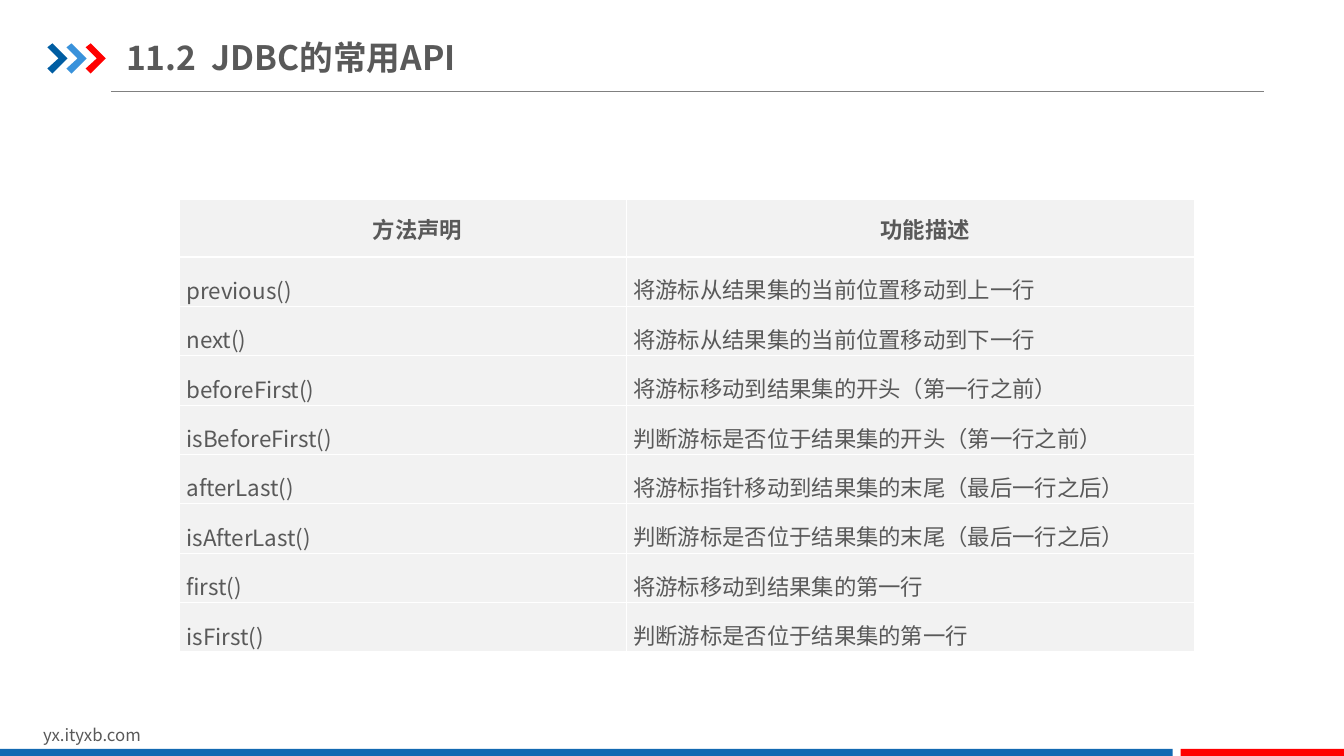
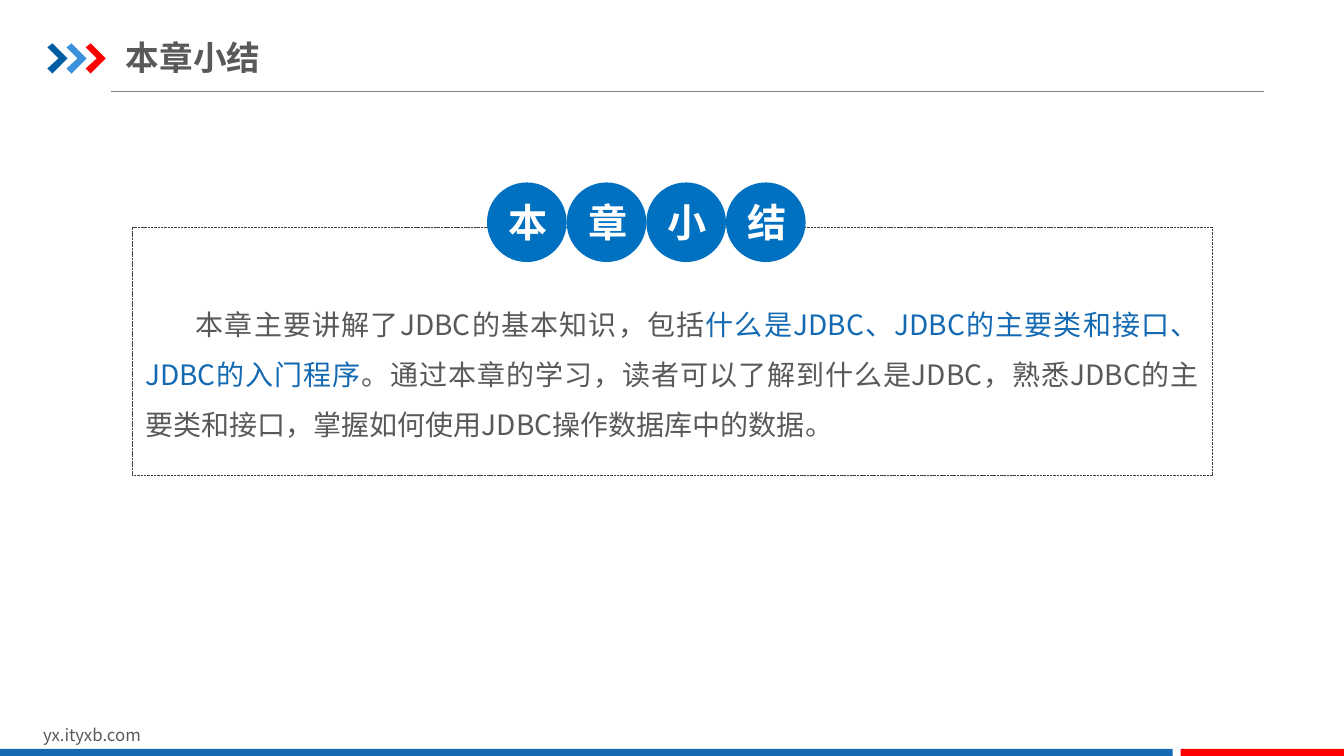
import pptx
import pptx.dml.color
import pptx.enum.dml
import pptx.enum.lang
import pptx.enum.shapes
import pptx.enum.text
import pptx.oxml
import pptx.oxml.ns
import pptx.util
from pptx.util import Inches

RGBColor = pptx.dml.color.RGBColor
SHAPE = pptx.enum.shapes.MSO_SHAPE
ALIGN = pptx.enum.text.PP_ALIGN
MIDDLE = pptx.enum.text.MSO_ANCHOR.MIDDLE
TOP = pptx.enum.text.MSO_ANCHOR.TOP

FONT = "Noto Sans CJK SC"
TEXT = RGBColor(0x59, 0x59, 0x59)
BLUE = RGBColor(0x13, 0x69, 0xB2)
DARK_BLUE = RGBColor(0x00, 0x5D, 0xA2)
LIGHT_BLUE = RGBColor(0x39, 0x92, 0xDB)
CIRCLE_BLUE = RGBColor(0x00, 0x70, 0xC0)
RED = RGBColor(0xFF, 0x00, 0x00)
WHITE = RGBColor(0xFF, 0xFF, 0xFF)
RULE_GREY = RGBColor(0x80, 0x80, 0x80)
FRAME_GREY = RGBColor(0x40, 0x40, 0x40)
CELL_GREY = RGBColor(0xF2, 0xF2, 0xF2)


def style_runs(paragraph, size, color=TEXT, bold=False):
    for run in paragraph.runs:
        run.font.size = pptx.util.Pt(size)
        run.font.bold = bold
        run.font.color.rgb = color
        run.font.name = FONT
        run.font.language_id = pptx.enum.lang.MSO_LANGUAGE_ID.SIMPLIFIED_CHINESE
        east_asian = pptx.oxml.parse_xml(
            f'<a:ea {pptx.oxml.ns.nsdecls("a")} typeface="{FONT}"/>')
        run.font._element.find(pptx.oxml.ns.qn("a:latin")).addnext(east_asian)


def paint(shape, color):
    shape.shadow.inherit = False
    shape.fill.solid()
    shape.fill.fore_color.rgb = color
    shape.line.fill.background()


deck = pptx.Presentation()
deck.slide_width = Inches(13.33)
deck.slide_height = Inches(7.5)

slides = []
for heading, heading_width in [("11.2  JDBC的常用API", 5.11), ("本章小结", 6.2)]:
    slide = deck.slides.add_slide(deck.slide_layouts[6])
    slides.append(slide)

    rule = slide.shapes.add_connector(
        pptx.enum.shapes.MSO_CONNECTOR.STRAIGHT,
        Inches(1.1), Inches(0.91), Inches(12.54), Inches(0.91))
    rule.line.color.rgb = RULE_GREY
    rule.line.width = pptx.util.Pt(0.75)
    rule._element.spPr.append(
        pptx.oxml.parse_xml(f'<a:effectLst {pptx.oxml.ns.nsdecls("a")}/>'))

    for index, color in enumerate([DARK_BLUE, LIGHT_BLUE, RED]):
        left = 0.47 + 0.19 * index
        outline = [(0, 0.47), (0.05, 0.43), (0.2, 0.58), (0.05, 0.73), (0, 0.68), (0.11, 0.58)]
        points = [(Inches(left + x), Inches(y)) for x, y in outline]
        builder = slide.shapes.build_freeform(*points[0])
        builder.add_line_segments(points[1:], close=True)
        paint(builder.convert_to_shape(), color)

    site = slide.shapes.add_textbox(Inches(0.33), Inches(7.14), Inches(3.18), Inches(0.3))
    site.text_frame.word_wrap = True
    site.text_frame.text = "yx.ityxb.com"
    style_runs(site.text_frame.paragraphs[0], 12)

    for left, width, color in [(0, 11.63, BLUE), (11.71, 1.62, RED)]:
        band = slide.shapes.add_shape(
            SHAPE.RECTANGLE, Inches(left), Inches(7.43), Inches(width), Inches(0.09))
        paint(band, color)

    title = slide.shapes.add_textbox(
        Inches(1.25), Inches(0.29), Inches(heading_width), Inches(0.55))
    title_frame = title.text_frame
    title_frame.word_wrap = True
    title_frame.vertical_anchor = MIDDLE
    title_frame.margin_left = title_frame.margin_right = 0
    title_frame.margin_top = title_frame.margin_bottom = Inches(0.07)
    title_frame.text = heading
    style_runs(title_frame.paragraphs[0], 24, bold=True)

api_slide, summary_slide = slides

methods = [
    ("方法声明", "功能描述"),
    ("previous()", "将游标从结果集的当前位置移动到上一行"),
    ("next()", "将游标从结果集的当前位置移动到下一行"),
    ("beforeFirst()", "将游标移动到结果集的开头（第一行之前）"),
    ("isBeforeFirst()", "判断游标是否位于结果集的开头（第一行之前）"),
    ("afterLast()", "将游标指针移动到结果集的末尾（最后一行之后）"),
    ("isAfterLast()", "判断游标是否位于结果集的末尾（最后一行之后）"),
    ("first()", "将游标移动到结果集的第一行"),
    ("isFirst()", "判断游标是否位于结果集的第一行"),
]
method_table = api_slide.shapes.add_table(
    len(methods), 2, Inches(1.78), Inches(1.98), Inches(10.07), Inches(4.49)).table
method_table.columns[0].width = Inches(4.43)
method_table.columns[1].width = Inches(5.64)
for row, entries in enumerate(methods):
    is_header = row == 0
    method_table.rows[row].height = Inches(0.57 if is_header else 0.49)
    for column, entry in enumerate(entries):
        cell = method_table.cell(row, column)
        cell.margin_left = cell.margin_right = Inches(0.07)
        cell.margin_top = cell.margin_bottom = 0
        cell.vertical_anchor = MIDDLE if is_header or column == 0 else TOP
        for side in ("lnL", "lnR", "lnT", "lnB"):
            cell._tc.get_or_add_tcPr().append(pptx.oxml.parse_xml(
                f'<a:{side} {pptx.oxml.ns.nsdecls("a")} w="12700">'
                f'<a:solidFill><a:srgbClr val="{WHITE}"/></a:solidFill></a:{side}>'))
        cell.fill.solid()
        cell.fill.fore_color.rgb = CELL_GREY
        cell.text_frame.text = entry
        paragraph = cell.text_frame.paragraphs[0]
        if is_header:
            paragraph.alignment = ALIGN.CENTER
            paragraph._p.get_or_add_pPr().set("indent", str(Inches(0.29)))
        else:
            paragraph.line_spacing = 1.5
        style_runs(paragraph, 16, bold=is_header)

summary = summary_slide.shapes.add_textbox(
    Inches(1.31), Inches(2.81), Inches(10.71), Inches(1.65))
summary_frame = summary.text_frame
summary_frame.word_wrap = True
summary_frame.margin_left = summary_frame.margin_right = Inches(0.13)
summary_frame.margin_top = summary_frame.margin_bottom = Inches(0.07)
paragraph = summary_frame.paragraphs[0]
paragraph.alignment = ALIGN.JUSTIFY
paragraph.line_spacing = 1.5
paragraph._p.get_or_add_pPr().set("indent", str(Inches(0.5)))
for passage in [
    "本章主要讲解了JDBC的基本知识，包括",
    "什么是JDBC、JDBC的主要类和接口、JDBC的入门程序",
    "。通过本章的学习，读者可以了解到什么是JDBC，熟悉JDBC的主要类和接口，掌握如何使用JDBC操作数据库中的数据。",
]:
    paragraph.add_run().text = passage
style_runs(paragraph, 20)
paragraph.runs[1].font.color.rgb = BLUE

frame = summary_slide.shapes.add_shape(
    SHAPE.ROUNDED_RECTANGLE, Inches(1.31), Inches(2.25), Inches(10.71), Inches(2.46))
frame.adjustments[0] = 0
frame.shadow.inherit = False
frame.fill.background()
frame.line.color.rgb = FRAME_GREY
frame.line.width = pptx.util.Pt(0.25)
frame.line.dash_style = pptx.enum.dml.MSO_LINE.SQUARE_DOT

diameter = 0.79
for index, character in enumerate("本章小结"):
    circle = summary_slide.shapes.add_shape(
        SHAPE.OVAL, Inches(4.83 + diameter * index), Inches(1.81),
        Inches(diameter), Inches(diameter))
    paint(circle, CIRCLE_BLUE)
    circle.text_frame.vertical_anchor = MIDDLE
    circle.text_frame.text = character
    circle.text_frame.paragraphs[0].alignment = ALIGN.CENTER
    style_runs(circle.text_frame.paragraphs[0], 28, WHITE, bold=True)

deck.save("out.pptx")
